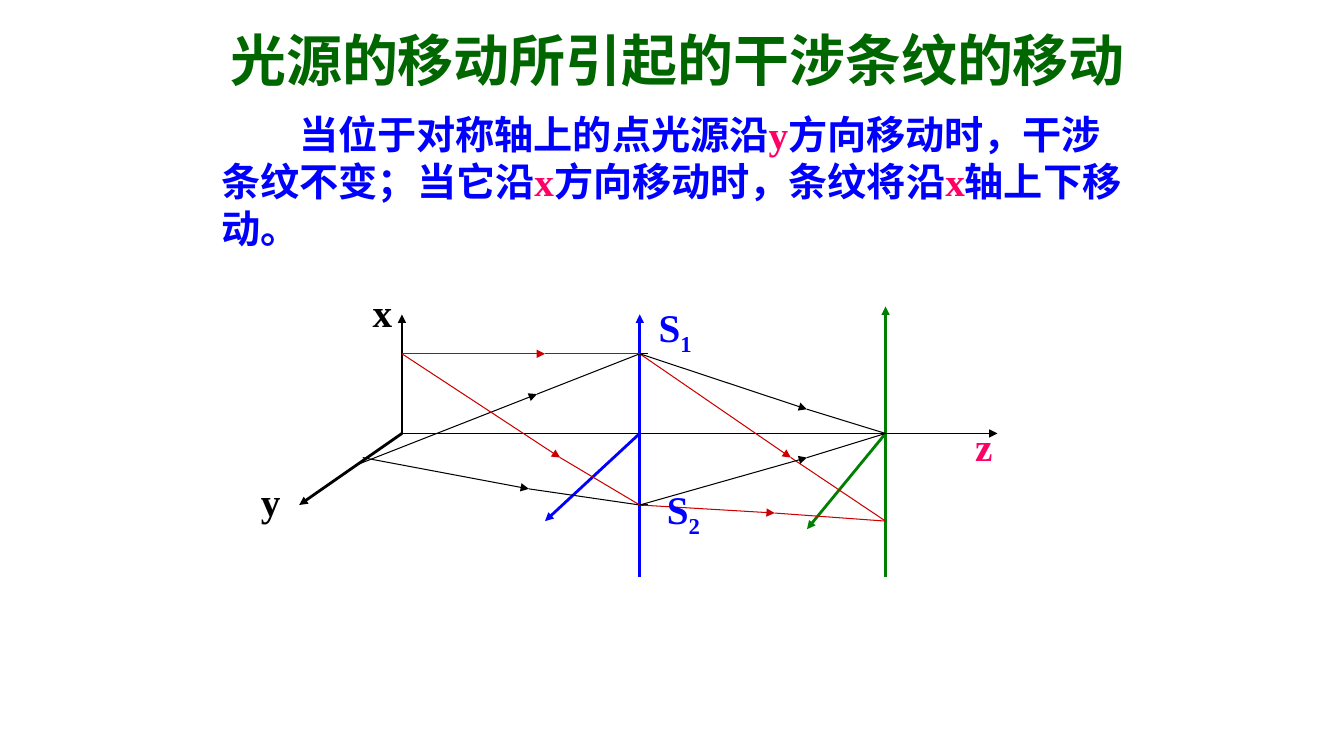
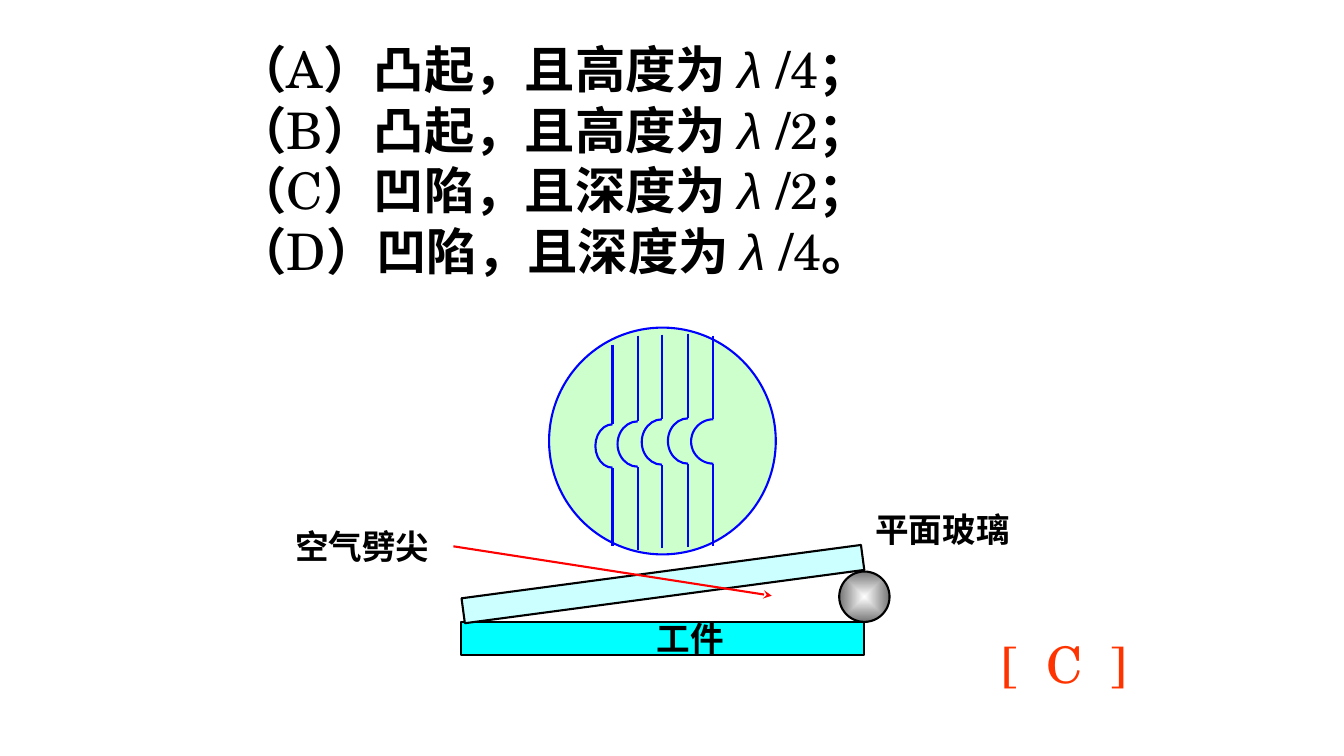
"""Build two slides on interference fringes: a moving source and an air wedge."""
from lxml import etree
from pptx import Presentation
from pptx.dml.color import RGBColor
from pptx.enum import shapes, text
from pptx.oxml import ns
from pptx.util import Inches, Pt

BLACK = RGBColor(0x00, 0x00, 0x00)
BLUE = RGBColor(0x00, 0x00, 0xFF)
GREEN = RGBColor(0x00, 0x80, 0x00)
DARK = RGBColor(0x00, 0x66, 0x00)
PINK = RGBColor(0xFF, 0x00, 0x66)
BRICK = RGBColor(0xCC, 0x00, 0x00)
RED = RGBColor(0xFF, 0x00, 0x00)
ORANGE = RGBColor(0xFF, 0x33, 0x00)
CYAN = RGBColor(0x00, 0xFF, 0xFF)
PALE = RGBColor(0xCC, 0xFF, 0xFF)
MINT = RGBColor(0xCC, 0xFF, 0xCC)
WHITE = RGBColor(0xFF, 0xFF, 0xFF)
GRAY = RGBColor(0x76, 0x76, 0x76)
TIMES, SCHOLA, ARIAL = "Times New Roman", "TeX Gyre Schola", "Arial"


def write(slide, area, paras, wrap=False):
    """Add a text box; a run is text, size, font, colour, then style letters."""
    box = slide.shapes.add_textbox(*map(Inches, area))
    frame = box.text_frame
    frame.word_wrap = wrap
    frame.auto_size = text.MSO_AUTO_SIZE.SHAPE_TO_FIT_TEXT
    for num, runs in enumerate(paras):
        para = frame.add_paragraph() if num else frame.paragraphs[0]
        for words, size, face, color, style in runs:
            run = para.add_run()
            run.text = words
            font = run.font
            font.size, font.name = Pt(size), face
            font.bold, font.italic = "b" in style, "i" in style
            font.color.rgb = color
            props = run._r.get_or_add_rPr()
            props.set("lang", "zh-CN")
            if "s" in style:
                props.set("baseline", "-25000")
    return frame


def draw(slide, start, end, color, width, head=None):
    """Add a straight line, with an arrowhead at its end if one is named."""
    line = slide.shapes.add_connector(
        shapes.MSO_CONNECTOR.STRAIGHT, *map(Inches, (*start, *end)))
    line.line.color.rgb = color
    line.line.width = Pt(width)
    props = line._element.spPr
    etree.SubElement(props, ns.qn("a:effectLst"))
    if head:
        etree.SubElement(line.line._get_or_add_ln(), ns.qn("a:tailEnd"), type=head)


deck = Presentation()
deck.slide_width, deck.slide_height = Inches(13.34), Inches(7.5)
rays, wedge = [deck.slides.add_slide(deck.slide_layouts[6]) for _ in range(2)]

title = [("光源的移动所引起的干涉条纹的移动", 40, TIMES, DARK, "b")]
body = [(words, 28, TIMES, color, "b") for words, color in (
    ("当位于对称轴上的点光源沿", BLUE), ("y", PINK),
    ("方向移动时，干涉条纹不变；当它沿", BLUE), ("x", PINK),
    ("方向移动时，条纹将沿", BLUE), ("x", PINK), ("轴上下移动。", BLUE))]
head, para = write(rays, (2.1, 0.2, 9.25, 2.37), [title, body], True).paragraphs
head.alignment = text.PP_ALIGN.CENTER
para.space_before = Pt(13)
para._p.get_or_add_pPr().set("indent", str(Inches(0.77)))

AXIS = 4.3
source, slits, screen = (3.99, AXIS), (6.35, AXIS), (8.79, AXIS)
for start, color, ends in (
        (source, BLACK, ((3.99, 3.12), (2.97, 5.01))),
        (slits, BLUE, ((6.35, 3.12), (5.41, 5.17))),
        (screen, GREEN, ((8.79, 3.04), (8.01, 5.25)))):
    for end in ends:
        draw(rays, start, end, color, 2, "triangle")
for start, color in ((slits, BLUE), (screen, GREEN)):
    draw(rays, start, (start[0], 5.72), color, 2)
draw(rays, source, (9.9, AXIS), BLACK, 0.75, "triangle")

upper, lower = (6.35, 3.51), (6.35, 5.01)
for x, y in (upper, lower):
    draw(rays, (x, y), (x + 0.08, y), BLACK, 0.75)
moved, spot = (3.99, 3.51), (8.79, 5.17)
for start, mid, end, color in (
        ((3.52, 4.62), (5.33, 3.91), upper, BLACK),
        ((3.6, 4.54), (5.25, 4.85), lower, BLACK),
        (moved, (5.56, 4.54), lower, BRICK),
        (moved, (5.41, 3.51), upper, BRICK),
        (upper, (7.85, 4.54), spot, BRICK),
        (lower, (7.69, 5.09), spot, BRICK),
        (upper, (8.01, 4.06), screen, BLACK),
        (lower, (8.01, 4.54), screen, BLACK)):
    draw(rays, start, mid, color, 0.75, "triangle")
    draw(rays, mid, end, color, 0.75)

for x, y, name, sub, color in (
        (3.6, 2.81, "x", "", BLACK), (2.49, 4.69, "y", "", BLACK),
        (6.44, 2.96, "S", "1", BLUE), (6.52, 4.77, "S", "2", BLUE),
        (9.58, 4.14, "z", "", PINK)):
    runs = [(name, 28, TIMES, color, "b")]
    if sub:
        runs.append((sub, 28, TIMES, color, "bs"))
    write(rays, (x, y, 0.53 if sub else 0.39, 0.63 if sub else 0.57), [runs])

picks = []
for mark, shape, part, end in (
        ("A", "）凸起，且高度为 ", "4", "；"), ("B", "）凸起，且高度为 ", "2", "；"),
        ("C", "）凹陷，且深度为 ", "2", "；"), ("D", "）凹陷，且深度为 ", "4", "。")):
    picks.append([(words, 36, face, BLACK, style) for words, face, style in (
        ("（", SCHOLA, "b"), (mark, SCHOLA, ""), (shape, SCHOLA, "b"),
        ("λ ", ARIAL, "i"), ("/", SCHOLA, "b"), (part, SCHOLA, ""),
        (end, SCHOLA, "b"))])
write(wedge, (2.25, 0.33, 7.17, 2.5), picks, True)
write(wedge, (9.84, 6.23, 1.45, 0.7), [[("[  C  ]", 36, SCHOLA, ORANGE, "")]])

KIND = shapes.MSO_SHAPE
parts = [
    (KIND.RECTANGLE, (4.58, 6.17, 4, 0.33), CYAN, BLACK, 0),
    (KIND.RECTANGLE, (4.58, 5.67, 4, 0.25), PALE, BLACK, 352.4),
    (KIND.OVAL, (8.33, 5.67, 0.5, 0.5), None, BLACK, 0),
    (KIND.OVAL, (5.45, 3.25, 2.25, 2.25), MINT, BLUE, 0)]
for x, top, high, low, foot, wide in (
        (6.08, 3.42, 4.21, 4.64, 5.42, 0.17), (6.33, 3.33, 4.18, 4.63, 5.46, 0.2),
        (6.57, 3.32, 4.16, 4.61, 5.44, 0.2), (6.83, 3.31, 4.15, 4.6, 5.43, 0.2),
        (7.08, 3.33, 4.16, 4.6, 5.42, 0.22)):
    parts.append((KIND.ARC, (x - wide, high, 2 * wide, low - high), None, BLUE, 0))
    parts.append(((x, top), (x, high)))
    parts.append(((x, low), (x, foot)))

for part in parts:
    if len(part) == 2:
        draw(wedge, *part, BLUE, 1.5)
        continue
    kind, area, color, edge, turn = part
    item = wedge.shapes.add_shape(kind, *map(Inches, area))
    item.shadow.inherit = False
    item.rotation = turn
    item.line.color.rgb = edge
    item.line.width = Pt(1.5)
    if kind == KIND.ARC:
        item.fill.background()
        item.adjustments[0], item.adjustments[1] = 54, 162
    elif color is not None:
        item.fill.solid()
        item.fill.fore_color.rgb = color
    else:
        item.fill.gradient()
        for stop, tone, place in zip(item.fill.gradient_stops, (WHITE, GRAY), (0, 1)):
            stop.color.rgb, stop.position = tone, place
        grad = item._element.spPr.find(ns.qn("a:gradFill"))
        grad.remove(grad.find(ns.qn("a:lin")))
        focus = etree.SubElement(grad, ns.qn("a:path"), path="rect")
        etree.SubElement(focus, ns.qn("a:fillToRect"),
                         dict.fromkeys("ltrb", "50000"))

draw(wedge, (4.5, 5.42), (7.66, 5.91), RED, 1.5, "stealth")
for x, y, width, words in ((2.83, 5.17, 1.58, "空气劈尖"),
                           (6.42, 6.08, 0.9, "工件"), (8.59, 5, 1.56, "平面玻璃")):
    write(wedge, (x, y, width, 0.5), [[(words, 24, SCHOLA, BLACK, "b")]])

deck.save("out.pptx")
